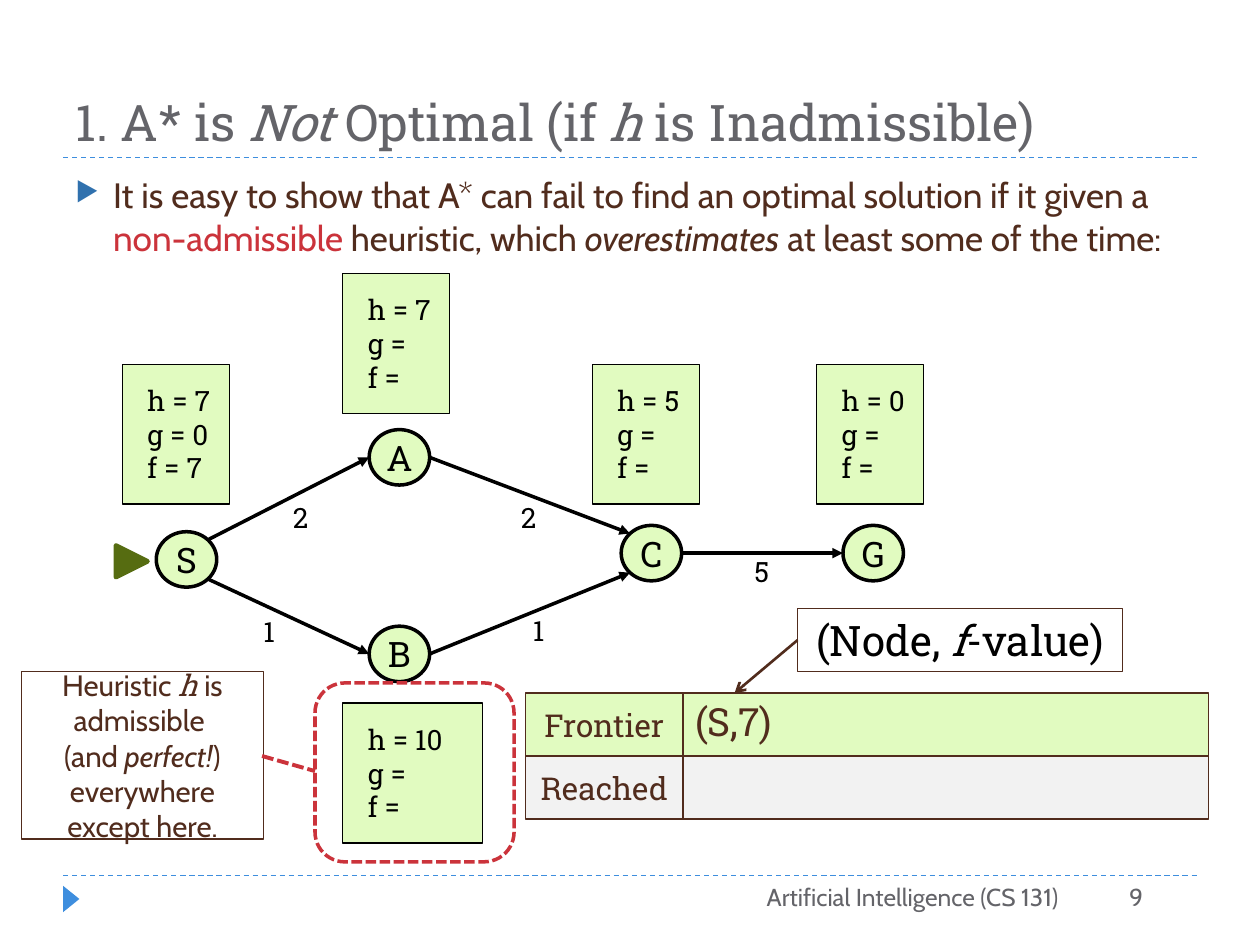
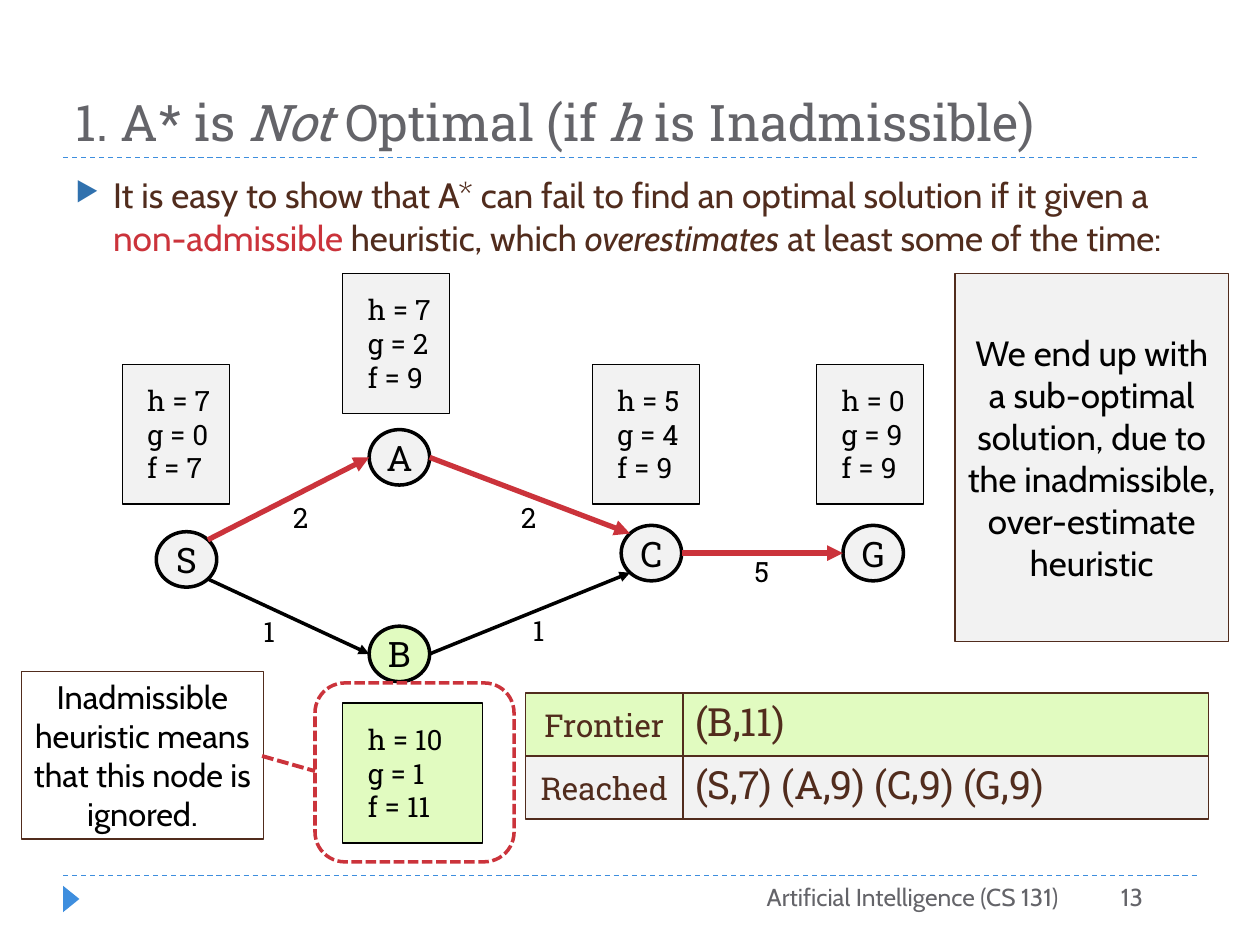
import math

from pptx import Presentation
from pptx import util as u
from pptx.dml.color import RGBColor
from pptx.enum import dml, shapes, text
from pptx.oxml.ns import qn
from lxml import etree

PX = 9144  # EMU in one px, 100 px to the inch

WHITE = RGBColor(0xFF, 0xFF, 0xFF)
BLACK = RGBColor(0x00, 0x00, 0x00)
GREY = RGBColor(0x64, 0x64, 0x69)
PALE_GREY = RGBColor(0xF2, 0xF2, 0xF2)
PALE_GREEN = RGBColor(0xE1, 0xFB, 0xC0)
OLIVE = RGBColor(0x56, 0x6C, 0x11)
BROWN = RGBColor(0x51, 0x2C, 0x1D)
RED = RGBColor(0xCB, 0x33, 0x3B)
BLUE = RGBColor(0x3E, 0x8E, 0xDE)
BULLET_BLUE = "3071AE"

SLAB, CABIN = "Roboto Slab", "Cabin"
LEFT, CENTER, RIGHT = text.PP_ALIGN.LEFT, text.PP_ALIGN.CENTER, text.PP_ALIGN.RIGHT
TOP, MIDDLE, BOTTOM = text.MSO_ANCHOR.TOP, text.MSO_ANCHOR.MIDDLE, text.MSO_ANCHOR.BOTTOM
DASH, SHORT_DASH = dml.MSO_LINE.DASH, dml.MSO_LINE.SQUARE_DOT
RECTANGLE = shapes.MSO_SHAPE.RECTANGLE
TRIANGLE = shapes.MSO_SHAPE.ISOSCELES_TRIANGLE
ITALIC = {"italic": True}

# ---- Content: a paragraph is a list of (words, changes to the style) ----
TITLE = [[("1. A* is ", {}), ("Not ", ITALIC), ("Optimal (if ", {}),
          ("h", ITALIC), (" is Inadmissible)", {})]]
CLAIM = [[("It is easy to show that A* can fail to find an optimal solution if it given a ", {}),
          ("non-admissible ", {"color": RED}), ("heuristic, which ", {}),
          ("overestimates", ITALIC), (" at least some of the time:", {})]]
FOOTER = "Artificial Intelligence (CS 131)"

NODE_SIZE = (48, 44)
NODES = {"S": (124, 422), "A": (293, 341), "B": (293, 497), "C": (493, 417), "G": (669, 417)}
SCORE_BOXES = {"A": (272, 217, 85, 111), "S": (97, 289, 85, 111), "B": (272, 558, 111, 111),
               "C": (470, 289, 85, 111), "G": (648, 289, 85, 111)}
HEURISTIC = {"S": 7, "A": 7, "B": 10, "C": 5, "G": 0}

# from, angle where it leaves, to, angle where it arrives, cost, place of the cost
EDGES = [("C", 0, "G", 180, 5, (585, 435)), ("A", 0, "C", 225, 2, (400, 392)),
         ("B", 0, "C", 135, 1, (408, 482)), ("S", 315, "A", 180, 2, (219, 392)),
         ("S", 45, "B", 180, 1, (194, 483))]

STEPS = [
    {"number": 9, "open": "SABCG", "path_edges": [], "costs": {"S": (0, 7)},
     "frontier": "(S,7)", "reached": "",
     "note": [[("Heuristic ", {}), ("h ", {"italic": True, "font": SLAB}), ("is admissible ", {})],
              [("(and ", {}), ("perfect!", ITALIC), (") everywhere except here.", {})]],
     "note_style": {"size": 16.8, "color": BROWN}},
    {"number": 13, "open": "B", "path_edges": ["SA", "AC", "CG"],
     "costs": {"S": (0, 7), "A": (2, 9), "B": (1, 11), "C": (4, 9), "G": (9, 9)},
     "frontier": "(B,11)", "reached": "(S,7) (A,9) (C,9) (G,9)",
     "note": "Inadmissible heuristic means that this node is ignored.",
     "note_style": {"size": 18.6, "color": BLACK}},
]
PAIR_LABEL = [[("(Node, ", {}), ("f", ITALIC), ("-value)", {})]]
CONCLUSION = ("We end up with a sub-optimal solution, due to the inadmissible, "
              "over-estimate heuristic")


# ---- Drawing helpers ----
def emu(*lengths):
    return [u.Emu(round(length * PX)) for length in lengths]


def format_run(run, size, color, font, italic=False):
    run.font.size = u.Pt(size)
    run.font.color.rgb = color
    run.font.name = font
    run.font.italic = italic


def write(shape, content, size, color=BLACK, font=SLAB, align=CENTER, anchor=MIDDLE,
          insets=(10, 5, 10, 5), wrap=True):
    """Fill a shape with lines of plain text or with paragraphs of styled runs."""
    frame = shape.text_frame
    frame.word_wrap = wrap
    frame.vertical_anchor = anchor
    (frame.margin_left, frame.margin_top,
     frame.margin_right, frame.margin_bottom) = emu(*insets)
    if isinstance(content, str):
        content = [[(line, {})] for line in content.split("\n")]
    for index, runs in enumerate(content):
        paragraph = frame.add_paragraph() if index else frame.paragraphs[0]
        paragraph.alignment = align
        for words, changes in runs:
            run = paragraph.add_run()
            run.text = words
            format_run(run, **{"size": size, "color": color, "font": font, **changes})


def add_text(slide, box, content, size, **style):
    shape = slide.shapes.add_textbox(*emu(*box))
    write(shape, content, size, **{"anchor": TOP, **style})
    return shape


def add_shape(slide, kind, box, fill=None, line=BROWN, width=0.75, dash=None, rotation=0):
    shape = slide.shapes.add_shape(kind, *emu(*box))
    shape.shadow.inherit = False
    shape.rotation = rotation
    if fill is None:
        shape.fill.background()
    else:
        shape.fill.solid()
        shape.fill.fore_color.rgb = fill
    if line is None:
        shape.line.fill.background()
    else:
        shape.line.color.rgb = line
        shape.line.width = u.Pt(width)
        shape.line.dash_style = dash
    return shape


def add_line(slide, start, end, color, width, dash=None, arrow=None):
    line = slide.shapes.add_connector(shapes.MSO_CONNECTOR.STRAIGHT, *emu(*start, *end))
    line.line.color.rgb = color
    line.line.width = u.Pt(width)
    line.line.dash_style = dash
    properties = line._element.spPr
    if arrow:
        etree.SubElement(properties.find(qn("a:ln")), qn("a:tailEnd"), type=arrow)
    etree.SubElement(properties, qn("a:effectLst"))


def add_bullet(paragraph):
    paragraph.space_before = paragraph.space_after = u.Pt(6)
    properties = paragraph._p.get_or_add_pPr()
    properties.set("marL", str(30 * PX))
    properties.set("indent", str(-30 * PX))
    color = etree.SubElement(properties, qn("a:buClr"))
    etree.SubElement(color, qn("a:srgbClr"), val=BULLET_BLUE)
    etree.SubElement(properties, qn("a:buSzPct"), val="76000")
    etree.SubElement(properties, qn("a:buChar"), char="▶")


# ---- Parts of the slides ----
def add_frame(slide, number):
    for y in (695, 125):
        add_line(slide, (50, y), (950, y), BLUE, 0.75, DASH)
    add_shape(slide, TRIANGLE, (46, 707, 21, 13), BLUE, None, rotation=90)
    add_text(slide, (50, 17, 900, 108), TITLE, 28.8, color=GREY, align=LEFT, anchor=BOTTOM)
    claim = add_text(slide, (50, 133, 900, 92), CLAIM, 20.1, color=BROWN, font=CABIN, align=LEFT)
    add_bullet(claim.text_frame.paragraphs[0])
    for box, words in (((383, 695, 467, 40), FOOTER), ((808, 695, 109, 40), str(number))):
        add_text(slide, box, words, 14, color=GREY, font=CABIN, align=RIGHT)


def rim_point(node, angle):
    """Point on the rim of a node, clockwise from its right side."""
    (left, top), (width, height) = NODES[node], NODE_SIZE
    turn = math.radians(angle)
    return (left + width / 2 * (1 + math.cos(turn)), top + height / 2 * (1 + math.sin(turn)))


def add_graph(slide, step):
    fills = {node: PALE_GREEN if node in step["open"] else PALE_GREY for node in NODES}
    for node, corner in NODES.items():
        circle = add_shape(slide, shapes.MSO_SHAPE.OVAL, corner + NODE_SIZE,
                           fills[node], BLACK, 2)
        write(circle, node, 20, insets=(0, 0, 0, 0))
    for start, leave, end, arrive, cost, corner in EDGES:
        color, width = (RED, 3) if start + end in step["path_edges"] else (BLACK, 2)
        add_line(slide, rim_point(start, leave), rim_point(end, arrive), color, width,
                 arrow="triangle")
        add_text(slide, corner + (39, 37), str(cost), 16)
    for node, box in SCORE_BOXES.items():
        scores = (HEURISTIC[node], *step["costs"].get(node, ("", "")))
        lines = [f"{name} = {score}".rstrip() for name, score in zip("hgf", scores)]
        score_box = add_shape(slide, RECTANGLE, box, fills[node], BLACK)
        write(score_box, "\n".join(lines), 16, align=LEFT, insets=(20, 5, 10, 5), wrap=False)


def add_lists(slide, step):
    rows = [("Frontier", step["frontier"], PALE_GREEN), ("Reached", step["reached"], PALE_GREY)]
    for index, (name, members, fill) in enumerate(rows):
        top = 550 + 50 * index
        write(add_shape(slide, RECTANGLE, (417, top, 125, 50), fill), name, 18, color=BROWN)
        cell = add_shape(slide, RECTANGLE, (542, top, 417, 50), fill)
        if members:
            write(cell, members, 22.2, color=BROWN, align=LEFT, insets=(10, 5, 10, 10))


def add_note(slide, step):
    add_shape(slide, shapes.MSO_SHAPE.ROUNDED_RECTANGLE, (250, 542, 158, 142),
              None, RED, 2, SHORT_DASH)
    note = add_shape(slide, RECTANGLE, (17, 533, 192, 133), WHITE)
    write(note, step["note"], font=CABIN, **step["note_style"])
    add_line(slide, (208, 600), (250, 612), RED, 2.25, SHORT_DASH)


def add_start_hints(slide):
    write(add_shape(slide, RECTANGLE, (633, 483, 258, 50), WHITE), PAIR_LABEL, 24)
    add_line(slide, (633, 508), (583, 550), BROWN, 1.5, arrow="arrow")
    add_shape(slide, TRIANGLE, (92, 433, 25, 25), OLIVE, OLIVE, 2.75, rotation=90)


def add_conclusion(slide):
    box = add_shape(slide, RECTANGLE, (758, 217, 217, 292), PALE_GREY)
    write(box, CONCLUSION, 20, font=CABIN)


def main():
    presentation = Presentation()
    presentation.slide_width, presentation.slide_height = emu(1000, 750)
    for step, add_extra in zip(STEPS, (add_start_hints, add_conclusion)):
        slide = presentation.slides.add_slide(presentation.slide_layouts[6])
        add_frame(slide, step["number"])
        add_graph(slide, step)
        add_lists(slide, step)
        add_note(slide, step)
        add_extra(slide)
    presentation.save("out.pptx")


if __name__ == "__main__":
    main()
